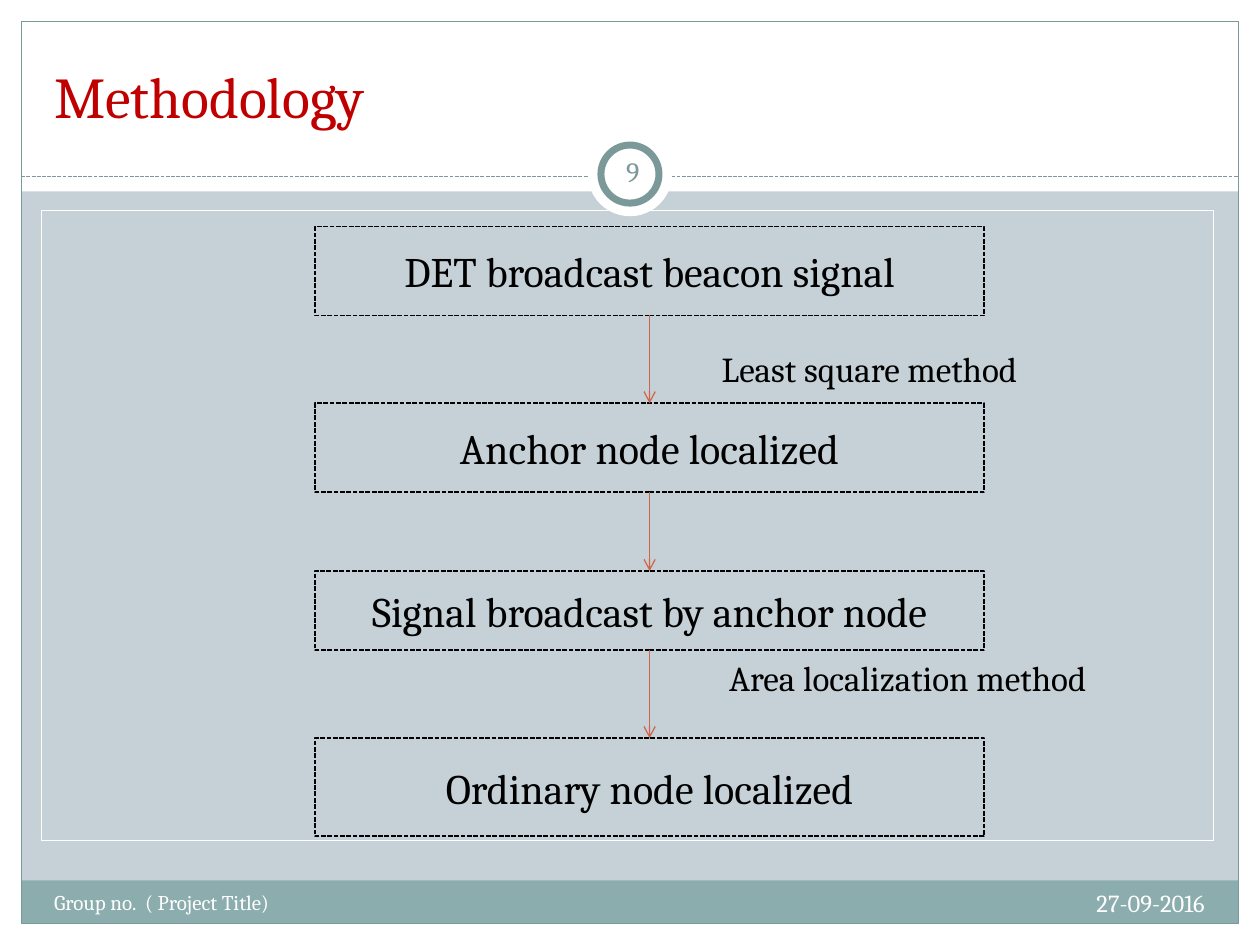
import pptx
import pptx.util
import pptx.dml.color
import pptx.enum.dml
import pptx.enum.shapes
import pptx.enum.text
import pptx.oxml
import pptx.oxml.ns
from dataclasses import dataclass

Cm = pptx.util.Cm
Shapes = pptx.enum.shapes.MSO_SHAPE
Align = pptx.enum.text.PP_ALIGN
Anchor = pptx.enum.text.MSO_ANCHOR


@dataclass(frozen=True)
class Theme:
    font: str = "Cambria"
    background: str = "C5D1D7"
    white: str = "FFFFFF"
    black: str = "000000"
    band: str = "8CADAE"
    rule: str = "7C999A"
    title: str = "C00000"
    arrow: str = "D16349"
    title_size: int = 33
    step_size: int = 24
    method_size: int = 20
    number_size: int = 16
    date_size: int = 14
    footer_size: int = 12
    thin: float = 0.75
    step_line: float = 0.9
    ring_line: float = 4


theme = Theme()
WIDTH, HEIGHT, MARGIN = 25.4, 19.05, 0.43
HEADER_HEIGHT, RULE_TOP = 3.86, 3.56
BADGE_CENTER = (WIDTH / 2, 3.51)
STEP_LEFT, STEP_WIDTH = 6.35, 13.49

steps = [
    ("DET broadcast beacon signal", 4.57, 1.79),
    ("Anchor node localized", 8.13, 1.79),
    ("Signal broadcast by anchor node", 11.51, 1.6),
    ("Ordinary node localized", 14.88, 1.98),
]
methods = [
    ("Least square method", (14.55, 6.92, 8, 1)),
    ("Area localization method", (14.7, 13.15, 9, 1)),
]
captions = [
    ("Methodology", (0.84, 0.64, 23.7, 2.11), theme.title_size, theme.title, Align.LEFT, Anchor.BOTTOM),
    ("27-09-2016", (16.08, 17.78, 8.46, 1.02), theme.date_size, theme.white, Align.RIGHT, Anchor.TOP),
    ("Group no.  ( Project Title)", (0.84, 17.81, 9.96, 1.02), theme.footer_size, theme.white, Align.LEFT, Anchor.TOP),
    ("9", (12.12, 2.84, 1.27, 1.22), theme.number_size, theme.rule, Align.CENTER, Anchor.MIDDLE),
]
margins = [
    (0, HEIGHT - MARGIN, WIDTH, MARGIN),
    (0, 0, WIDTH, HEADER_HEIGHT),
    (0, 0, MARGIN, HEIGHT),
    (WIDTH - MARGIN, 0, MARGIN, HEIGHT),
]

presentation = pptx.Presentation()
presentation.slide_width, presentation.slide_height = Cm(WIDTH), Cm(HEIGHT)
slide = presentation.slides.add_slide(presentation.slide_layouts[6])


def color(value):
    return pptx.dml.color.RGBColor.from_string(value)


def set_line(line, value, width, dashed=False):
    line.color.rgb = color(value)
    line.width = pptx.util.Pt(width)
    if dashed:
        line.dash_style = pptx.enum.dml.MSO_LINE.SQUARE_DOT


def add_block(box, fill=None, line=None, width=theme.thin, dashed=False, kind=Shapes.RECTANGLE):
    shape = slide.shapes.add_shape(kind, *map(Cm, box))
    shape.shadow.inherit = False
    if fill:
        shape.fill.solid()
        shape.fill.fore_color.rgb = color(fill)
    else:
        shape.fill.background()
    if line:
        set_line(shape.line, line, width, dashed)
    else:
        shape.line.fill.background()
    return shape


def write(shape, text, size, value, align, anchor):
    frame = shape.text_frame
    frame.word_wrap = True
    frame.vertical_anchor = anchor
    frame.text = text
    paragraph = frame.paragraphs[0]
    paragraph.alignment = align
    font = paragraph.runs[0].font
    font.name, font.size = theme.font, pptx.util.Pt(size)
    font.color.rgb = color(value)
    return frame


def add_text(text, box, size, value, align, anchor):
    shape = slide.shapes.add_textbox(*map(Cm, box))
    return write(shape, text, size, value, align, anchor)


def add_line(start, end, value, dashed=False, arrow=False):
    connector = slide.shapes.add_connector(
        pptx.enum.shapes.MSO_CONNECTOR.STRAIGHT, *map(Cm, start + end))
    set_line(connector.line, value, theme.thin, dashed)
    if arrow:
        line = connector.line._get_or_add_ln()
        pptx.oxml.ns.qn("a:tailEnd")
        line.append(pptx.oxml.parse_xml(
            '<a:tailEnd %s type="arrow"/>' % pptx.oxml.ns.nsdecls("a")))
    connector._element.spPr.append(pptx.oxml.parse_xml(
        "<a:effectLst %s/>" % pptx.oxml.ns.nsdecls("a")))


def add_disc(diameter, line=None):
    left, top = (center - diameter / 2 for center in BADGE_CENTER)
    add_block((left, top, diameter, diameter), theme.white, line, theme.ring_line, kind=Shapes.OVAL)


slide.background.fill.solid()
slide.background.fill.fore_color.rgb = color(theme.background)

for box in margins:
    add_block(box, theme.white)
inner_width = WIDTH - 2 * MARGIN
add_block((MARGIN, 17.75, inner_width, 0.87), theme.band)
add_block((MARGIN, MARGIN, inner_width, HEIGHT - 2 * MARGIN), line=theme.rule)
add_line((MARGIN, RULE_TOP), (WIDTH - MARGIN, RULE_TOP), theme.rule, dashed=True)
add_disc(1.7)
add_disc(1.17, theme.rule)

for caption in captions:
    frame = add_text(*caption)
frame.margin_left = frame.margin_right = Cm(0.13)

add_block((0.84, 4.24, 23.62, 12.7), line=theme.white)
for text, box in methods:
    frame = add_text(text, box, theme.method_size, theme.black, Align.LEFT, Anchor.MIDDLE)
    frame.margin_left = frame.margin_right = frame.margin_top = frame.margin_bottom = 0

for text, top, height in steps:
    shape = add_block((STEP_LEFT, top, STEP_WIDTH, height), theme.background,
                      theme.black, theme.step_line, dashed=True)
    write(shape, text, theme.step_size, theme.black, Align.CENTER, Anchor.MIDDLE)

arrow_x = STEP_LEFT + STEP_WIDTH / 2
for (_, top, height), (_, next_top, _) in zip(steps, steps[1:]):
    add_line((arrow_x, top + height), (arrow_x, next_top), theme.arrow, arrow=True)

presentation.save("out.pptx")
